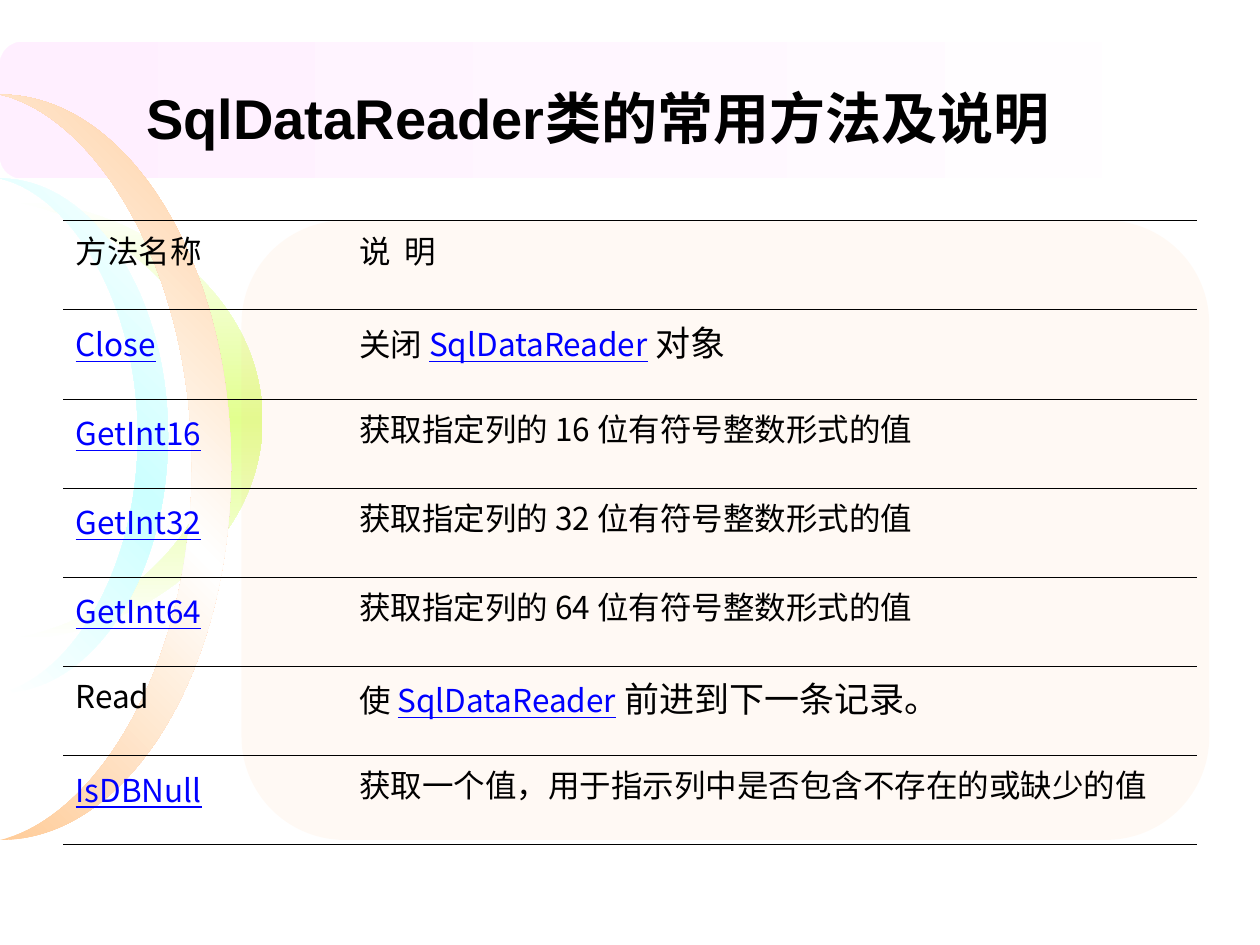
"""Build the slide listing common SqlDataReader methods."""
import pptx
import pptx.dml.color
import pptx.enum.shapes
import pptx.enum.text
import pptx.oxml.ns
import pptx.util
from lxml import etree

Pt = pptx.util.Pt
qn = pptx.oxml.ns.qn
ROUNDED = pptx.enum.shapes.MSO_SHAPE.FLOWCHART_ALTERNATE_PROCESS

COLORS = {
    "black": "000000",
    "white": "FFFFFF",
    "link": "0000FF",
    "pink": "FFEFFF",
    "lime": "E2FF8F",
    "peach": "FFCC99",
    "aqua": "CCFFFF",
}
CJK_FONT = "Noto Sans CJK SC"

CRESCENTS = [
    ((0, 114, 150, 252), 0.84, ("white", "lime", "white"), 270),
    ((0, 54, 132, 426), 0.83, ("peach", "white", "peach"), 315),
    ((0, 102, 96, 294), 0.82, ("white", "aqua", "white"), 315),
]


def plain(text):
    """Return a span of body text."""
    return text, {}


def large(text):
    """Return a span of slightly larger body text."""
    return text, {"size": 20}


def link(text):
    """Return a span that looks like a link."""
    return text, {"color": "link", "underline": True}


def integer_row(bits):
    """Return the row for one integer getter."""
    return ([link(f"GetInt{bits}"), large(" ")],
            [plain(f"获取指定列的 {bits} 位有符号整数形式的值")])


ROWS = [
    ([("方法名称", {"font": "Times New Roman"})], [plain("说  明")]),
    ([link("Close"), large(" ")],
     [plain("关闭 "), link("SqlDataReader"), large(" 对象")]),
    *[integer_row(bits) for bits in (16, 32, 64)],
    ([plain("Read")],
     [plain("使 "), link("SqlDataReader"), large(" 前进到下一条记录。")]),
    ([link("IsDBNull"), large(" ")],
     [("获取一个值，用于指示列中是否包含不存在的或缺少的值",
       {"font": "Times New Roman"})]),
]


def rgb(name):
    """Return the named colour."""
    return pptx.dml.color.RGBColor.from_string(COLORS[name])


def add_span(para, text, size=18, font=CJK_FONT, color="black", bold=False, underline=False):
    """Add formatted text to a paragraph."""
    span = para.add_run()
    span.text = text
    span.font.size = Pt(size)
    span.font.name = font
    span.font.bold = bold
    span.font.underline = underline
    span.font.color.rgb = rgb(color)
    latin = span.font._element.find(qn("a:latin"))
    latin.addnext(etree.Element(qn("a:ea"), typeface=CJK_FONT))


def fill_gradient(shape, names, angle):
    """Fill a shape with evenly spaced colours at a clockwise angle."""
    shape.shadow.inherit = False
    shape.line.fill.background()
    shape.fill.gradient()
    shape.fill.gradient_angle = 360 - angle
    stops = shape._element.spPr.find(qn("a:gradFill")).find(qn("a:gsLst"))
    for stop in list(stops):
        stops.remove(stop)
    for index, name in enumerate(names):
        position = 100000 * index // (len(names) - 1)
        stop = etree.SubElement(stops, qn("a:gs"), pos=str(position))
        etree.SubElement(stop, qn("a:srgbClr"), val=COLORS[name])


def curve_segments(shape):
    """Turn each three line segments of an outline into one cubic curve."""
    lines = list(shape._element.spPr.iter(qn("a:lnTo")))
    for first in range(0, len(lines), 3):
        curve = etree.Element(qn("a:cubicBezTo"))
        lines[first].addprevious(curve)
        for line in lines[first:first + 3]:
            curve.append(line[0])
            line.getparent().remove(line)


def add_crescent(slide, box, inner, names, angle):
    """Draw a crescent that fills its box, turned to bulge to the right."""
    left, top, width, height = box
    waist = 1 - inner
    outline = [
        (1 - inner / 2, 0.03), (waist, 0.235), (waist, 0.5),
        (waist, 0.765), (1 - inner / 2, 0.97), (1, 1),
        (0.45, 1), (0, 0.775), (0, 0.5),
        (0, 0.225), (0.45, 0), (1, 0),
    ]
    builder = slide.shapes.build_freeform(Pt(left + width), Pt(top))
    builder.add_line_segments(
        [(Pt(left + x * width), Pt(top + y * height)) for x, y in outline], close=True)
    crescent = builder.convert_to_shape()
    curve_segments(crescent)
    crescent.rotation = 180
    fill_gradient(crescent, names, angle)


def add_backdrop(slide, band_box, panel_box):
    """Draw the title band, the crescents and the pale panel."""
    band = slide.shapes.add_shape(ROUNDED, *map(Pt, band_box))
    fill_gradient(band, ("white", "pink"), 180)
    for crescent in CRESCENTS:
        add_crescent(slide, *crescent)
    panel = slide.shapes.add_shape(ROUNDED, *map(Pt, panel_box))
    panel.shadow.inherit = False
    panel.line.fill.background()
    panel.fill.solid()
    panel.fill.fore_color.rgb = rgb("peach")
    color = panel._element.spPr.find(qn("a:solidFill"))[0]
    etree.SubElement(color, qn("a:alpha"), val="10000")


def add_title(slide, box, text):
    """Write the slide title."""
    frame = slide.shapes.add_textbox(*map(Pt, box)).text_frame
    frame.word_wrap = True
    frame.vertical_anchor = pptx.enum.text.MSO_ANCHOR.MIDDLE
    add_span(frame.paragraphs[0], text, size=32, font="Arial", bold=True)


def set_rules(cell):
    """Give a cell thin lines above and below, and none at its sides."""
    properties = cell._tc.get_or_add_tcPr()
    for index, side in enumerate(("lnL", "lnR", "lnT", "lnB")):
        line = etree.Element(qn(f"a:{side}"), w=str(Pt(0.23)))
        if side in ("lnT", "lnB"):
            fill = etree.SubElement(line, qn("a:solidFill"))
            etree.SubElement(fill, qn("a:srgbClr"), val=COLORS["black"])
        else:
            etree.SubElement(line, qn("a:noFill"))
        properties.insert(index, line)


def add_methods_table(slide, box):
    """Build the table of methods and their descriptions."""
    table = slide.shapes.add_table(len(ROWS), 2, *map(Pt, box)).table
    table.first_row = False
    table.horz_banding = False
    for column, share in zip(table.columns, (0.25, 0.75)):
        column.width = Pt(box[2] * share)
    for row, contents in zip(table.rows, ROWS):
        row.height = Pt(box[3] / len(ROWS))
        for cell, spans in zip(row.cells, contents):
            cell.fill.background()
            set_rules(cell)
            for text, style in spans:
                add_span(cell.text_frame.paragraphs[0], text, **style)


def main():
    """Build and save the deck."""
    deck = pptx.Presentation()
    deck.slide_width, deck.slide_height = Pt(720), Pt(540)
    slide = deck.slides.add_slide(deck.slide_layouts[6])
    add_backdrop(slide, (0, 24, 720, 78), (138, 126, 553, 354))
    add_title(slide, (76.5, 9.5, 649.5, 115), "SqlDataReader类的常用方法及说明")
    add_methods_table(slide, (36, 126, 648, 356.5))
    deck.save("out.pptx")


if __name__ == "__main__":
    main()
